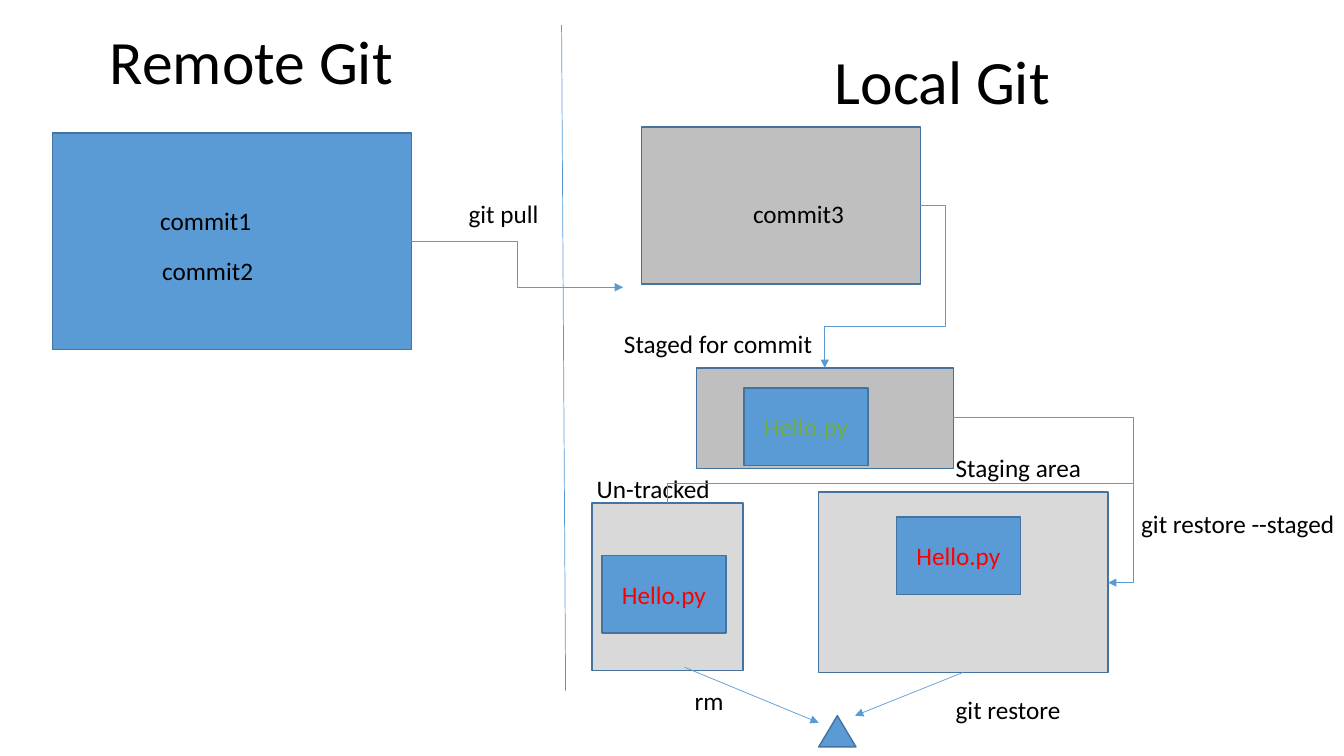
from lxml import etree
from pptx import Presentation
from pptx.dml.color import RGBColor
from pptx.enum.shapes import MSO_CONNECTOR, MSO_SHAPE
from pptx.enum.text import MSO_ANCHOR, MSO_AUTO_SIZE, PP_ALIGN
from pptx.oxml.ns import qn
from pptx.util import Inches, Pt

RECT, TRIANGLE = MSO_SHAPE.RECTANGLE, MSO_SHAPE.ISOSCELES_TRIANGLE
STRAIGHT, ELBOW = MSO_CONNECTOR.STRAIGHT, MSO_CONNECTOR.ELBOW
LEFT, CENTER = PP_ALIGN.LEFT, PP_ALIGN.CENTER
TOP, MIDDLE = MSO_ANCHOR.TOP, MSO_ANCHOR.MIDDLE

BLACK = RGBColor(0x00, 0x00, 0x00)
BLUE = RGBColor(0x5B, 0x9B, 0xD5)
DARK_BLUE = RGBColor(0x43, 0x73, 0x9E)
GRAY = RGBColor(0xBF, 0xBF, 0xBF)
LIGHT_GRAY = RGBColor(0xD9, 0xD9, 0xD9)
RED = RGBColor(0xFF, 0x00, 0x00)
GREEN = RGBColor(0x70, 0xAD, 0x47)
FONT = "Calibri"

# Content: positions are left, top, width, height in inches
REMOTE_TITLE = ("Remote Git", (0.99, -0.08, 3.11, 1.45))
LOCAL_TITLE = ("Local Git", (8.18, 0.11, 2.91, 1.45))
AREAS = {
    "remote": (RECT, (0.52, 1.32, 3.56, 2.15), BLUE),
    "working": (RECT, (8.12, 4.88, 2.87, 1.79), LIGHT_GRAY),
    "local": (RECT, (6.36, 1.26, 2.77, 1.56), GRAY),
    "staging": (RECT, (6.91, 3.65, 2.55, 1.0), GRAY),
    "untracked": (RECT, (5.87, 4.99, 1.5, 1.66), LIGHT_GRAY),
    "discarded": (TRIANGLE, (8.12, 7.1, 0.37, 0.31), BLUE),
}
FILE_NAME, FILE_SIZE = "Hello.py", (1.23, 0.77)
FILES = [(8.89, 5.13, RED), (7.38, 3.85, GREEN), (5.97, 5.51, RED)]
LABEL_HEIGHT = 0.4
LABELS = [  # text, left, top, width
    ("commit1", 1.49, 1.99, 1.11),
    ("commit2", 1.51, 2.48, 1.11),
    ("commit3", 7.37, 1.92, 1.11),
    ("git pull", 4.55, 1.92, 0.9),
    ("Staged for commit", 6.09, 3.21, 2.09),
    ("Staging area", 9.38, 4.44, 1.46),
    ("Un-tracked", 5.82, 4.65, 1.33),
    ("git restore --staged", 11.22, 4.99, 2.14),
    ("git restore", 9.38, 6.84, 1.25),
    ("rm", 6.79, 6.75, 0.49),
]
DIVIDER = (5.57, 0.25, 5.61, 6.86)
RM_ARROW = (6.79, 6.62, 8.12, 7.17)
RESTORE_ARROW = (9.55, 6.67, 8.48, 7.1)
ELBOWS = [  # start and end, preset, bend positions, arrowhead
    ((4.08, 2.39, 6.18, 2.85), "bentConnector3", [50000], True),
    ((9.13, 2.04, 8.18, 3.65), "bentConnector4", [-26300, 74300], True),
    ((9.45, 4.14, 10.99, 5.78), "bentConnector3", [116300], True),
    ((11.24, 4.8, 6.62, 4.99), "bentConnector2", [], False),
]


def inches(values):
    return [Inches(v) for v in values]


def write(shape, text, size=18, color=BLACK, align=LEFT, anchor=TOP, wrap=True):
    tf = shape.text_frame
    tf.text = text
    tf.word_wrap = wrap
    tf.auto_size = MSO_AUTO_SIZE.NONE if wrap else MSO_AUTO_SIZE.SHAPE_TO_FIT_TEXT
    tf.vertical_anchor = anchor
    p = tf.paragraphs[0]
    p.alignment = align
    font = p.runs[0].font
    font.name, font.size, font.color.rgb = FONT, Pt(size), color
    return p


def write_title(shape, text):
    write(shape, text, size=44, anchor=MIDDLE).line_spacing = 0.9


def add_box(kind, box, fill):
    sp = s.shapes.add_shape(kind, *inches(box))
    sp.shadow.inherit = False
    sp.fill.solid()
    sp.fill.fore_color.rgb = fill
    sp.line.color.rgb = DARK_BLUE
    sp.line.width = Pt(1)
    return sp


def add_line(ends, kind=STRAIGHT, arrow=True):
    cx = s.shapes.add_connector(kind, *inches(ends))
    cx.line.color.rgb = BLUE
    cx.line.width = Pt(0.5)
    if arrow:
        etree.SubElement(cx.line._get_or_add_ln(), qn("a:tailEnd"), type="triangle")
    etree.SubElement(cx._element.spPr, qn("a:effectLst"))
    return cx


def add_elbow(ends, preset, bends, arrow):
    cx = add_line(ends, ELBOW, arrow)
    geom = cx._element.spPr.find(qn("a:prstGeom"))
    geom.set("prst", preset)
    for guide in list(geom):
        geom.remove(guide)
    guides = etree.SubElement(geom, qn("a:avLst"))
    for i, bend in enumerate(bends, 1):
        etree.SubElement(guides, qn("a:gd"), name=f"adj{i}", fmla=f"val {bend}")


prs = Presentation()
prs.slide_width, prs.slide_height = Inches(13.33), Inches(7.5)
s = prs.slides.add_slide(prs.slide_layouts[5])

# Headings
title = s.shapes.title
title.left, title.top, title.width, title.height = inches(REMOTE_TITLE[1])
write_title(title, REMOTE_TITLE[0])
write_title(s.shapes.add_textbox(*inches(LOCAL_TITLE[1])), LOCAL_TITLE[0])

# Repository areas and the files in them
areas = {name: add_box(*area) for name, area in AREAS.items()}
for left, top, color in FILES:
    chip = add_box(RECT, (left, top, *FILE_SIZE), BLUE)
    write(chip, FILE_NAME, color=color, align=CENTER, anchor=MIDDLE)

# Labels
for text, left, top, width in LABELS:
    tb = s.shapes.add_textbox(*inches((left, top, width, LABEL_HEIGHT)))
    write(tb, text, wrap=False)

# Divider and arrows
add_line(DIVIDER, arrow=False)
for elbow in ELBOWS:
    add_elbow(*elbow)
add_line(RM_ARROW)
add_line(RESTORE_ARROW).begin_connect(areas["working"], 2)

prs.save("out.pptx")
